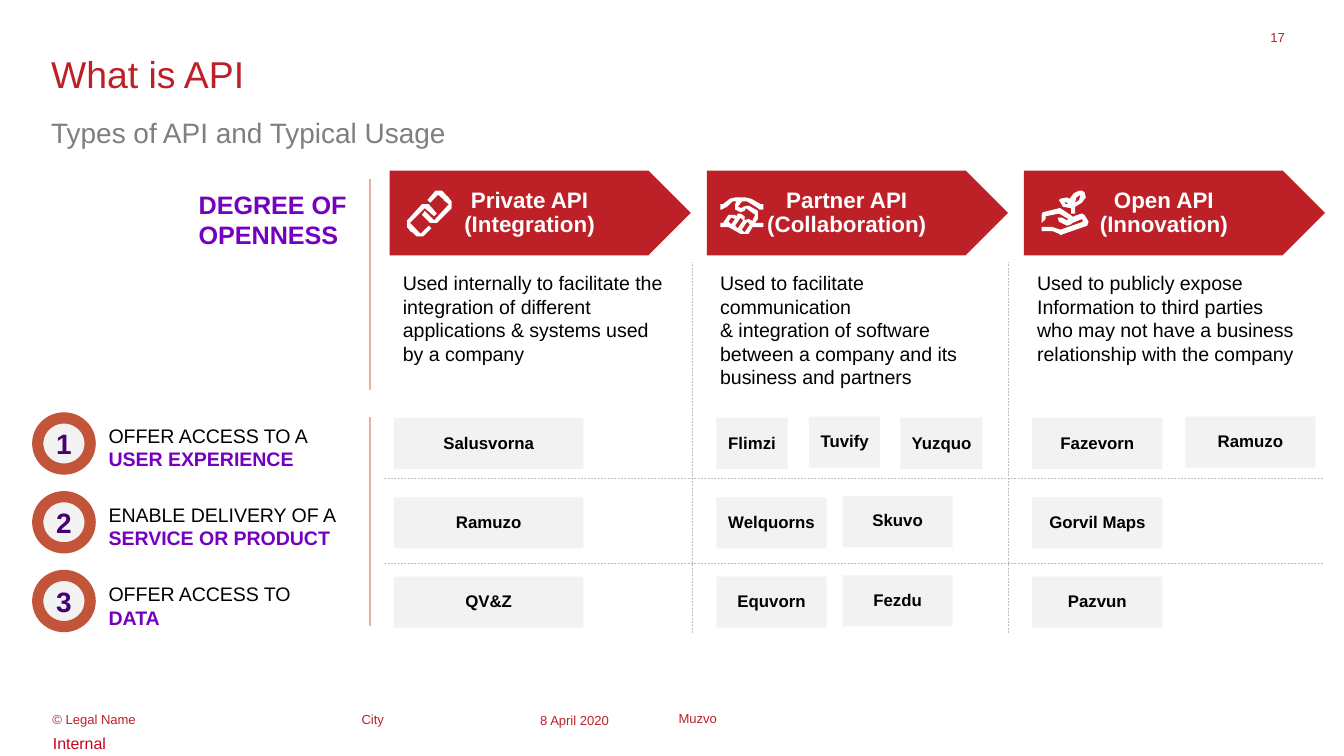
from lxml import etree
from pptx import Presentation
from pptx.dml.color import RGBColor
from pptx.enum import dml, shapes, text
from pptx.oxml.ns import qn
from pptx.util import Pt

COLORS = {"red": "BD2027", "label": "CA001F", "gray": "7F7F7F", "violet": "7500C0",
          "indigo": "460073", "rust": "C25439", "peach": "E9B09A", "grid": "BFBFBF",
          "pale": "F2F2F2", "white": "FFFFFF", "black": "000000"}

TITLE = {"size": 20, "color": "red"}
SUBTITLE = {"size": 15, "color": "gray"}
SMALL = {"size": 7, "color": "red"}
BODY = {"size": 10.5, "color": "black"}
STRONG = {"size": 10.5, "color": "violet", "bold": True}
DEGREE = {"size": 13.5, "color": "violet", "bold": True}
NUMBER = {"size": 15, "color": "indigo", "bold": True}
HEADING = {"size": 12, "color": "white", "bold": True}
EXAMPLE = {"size": 9, "color": "black", "bold": True}

# text, format, (left, top, width, height), extra text options
PAGE_TEXTS = [
    ("© Legal Name", SMALL, (27.4, 381.6, 155.5, 6.5), {"space": 0.96, "before": 0.1, "indent": 0.7}),
    ("City", SMALL, (193, 381.6, 88.6, 6.5), {"space": 0.96, "before": 0.1, "indent": 0.7}),
    ("Internal", {"size": 8.5, "color": "label"}, (0, 389.5, 720, 17.3), {"inset": (28.4, 3.6, 7.2, 3.6)}),
    ("17", SMALL, (672.5, 15.8, 15.8, 10.8), {"align": "RIGHT"}),
    ("8 April 2020", SMALL, (289.4, 381.6, 62.6, 6.5), {}),
    ("Muzvo", SMALL, (363.6, 381.6, 228.2, 6.5), {"anchor": "MIDDLE"}),
    ("What is API", TITLE, (27.4, 27.4, 660.2, 36.7), {}),
    ("Types of API and Typical Usage", SUBTITLE, (27.4, 61.9, 660.2, 23), {}),
]

# Icon outlines: each icon is a list of shapes, each shape a list of contours,
# on a grid of 0.72 pt measured from the corner of its arrow
CHAIN = [
    [[(23, 47), (15, 39), (26, 28), (33, 34), (35, 32), (29, 25), (24, 25), (13, 37), (13, 42),
      (20, 49), (25, 49), (31, 43), (29, 41)]],
    [[(36, 18), (44, 25), (33, 37), (26, 30), (24, 33), (30, 39), (35, 39), (46, 28), (46, 23),
      (39, 15), (34, 15), (28, 22), (30, 24)]],
    [[(43, 19), (46, 23), (44, 25), (40, 22)]],
    [[(16, 46), (13, 42), (15, 39), (19, 43)]],
]
HANDSHAKE = [
    [[(29, 27), (31, 26), (38, 30), (38, 36), (35, 40), (34, 37), (36, 33), (29, 28)]],
    [[(28, 46), (26, 44), (30, 38), (32, 40)],
     [(23, 43), (21, 41), (25, 35), (27, 37)],
     [(18, 40), (16, 38), (18, 35), (21, 36)],
     [(35, 39), (35, 38), (31, 36), (28, 37), (28, 34), (25, 32), (23, 32), (22, 34), (21, 33),
      (16, 33), (12, 39), (10, 39), (10, 42), (16, 42), (25, 47), (31, 47), (34, 42), (42, 42),
      (42, 39)]],
    [[(40, 25), (33, 21), (29, 20), (21, 20), (17, 21), (12, 25), (10, 25), (10, 29), (11, 29),
      (15, 27), (19, 23), (22, 23), (21, 25), (21, 29), (25, 31), (28, 30), (30, 26), (27, 27),
      (26, 28), (23, 27), (26, 23), (30, 23), (38, 28), (39, 29), (42, 29), (42, 25)]],
]
SEEDLING = [
    [[(41, 22), (38, 24), (39, 20), (42, 18)],
     [(31, 25), (30, 23), (32, 24), (33, 25)],
     [(45, 16), (43, 15), (41, 15), (37, 17), (34, 21), (32, 20), (27, 21), (26, 22), (29, 27),
      (35, 28), (35, 32), (38, 32), (38, 27), (43, 24), (46, 20)]],
    [[(45, 33), (43, 32), (37, 35), (36, 34), (27, 28), (26, 28), (14, 31), (13, 33), (13, 39),
      (16, 36), (16, 34), (26, 32), (33, 36), (32, 37), (28, 35), (25, 35), (26, 38), (32, 41),
      (35, 40), (36, 39), (43, 36), (44, 38), (27, 44), (21, 42), (13, 42), (13, 45), (21, 45),
      (26, 47), (27, 48), (47, 41), (48, 38)]],
    [[(43, 36), (36, 38), (37, 34), (43, 32)]],
]

# heading, icon, description, description width
API_TYPES = [
    (["Private API", "(Integration)"], CHAIN,
     ["Used internally to facilitate the", "integration of different",
      "applications & systems used by a company"], 156.2),
    (["Partner API", "(Collaboration)"], HANDSHAKE,
     ["Used to facilitate communication",
      "& integration of software between a company and its business and partners"], 162),
    (["Open API", "(Innovation)"], SEEDLING,
     ["Used to publicly expose",
      "Information to third parties who may not have a business relationship with the company"], 156.2),
]

# label paragraphs, label width, then examples as (name, left, width, rise)
USAGES = [
    ([[("OFFER ACCESS TO A", BODY)], [("USER EXPERIENCE", STRONG)]], 134.6,
     [("Salusvorna", 211, 101.5, 0), ("Flimzi", 383.8, 38.2, 0), ("Tuvify", 433.4, 38.2, 0.7),
      ("Yuzquo", 482.4, 43.9, 0), ("Fazevorn", 553, 69.8, 0), ("Ramuzo", 635, 69.8, 0.7)]),
    ([[("ENABLE DELIVERY OF A", BODY)], [("SERVICE OR PRODUCT", STRONG)]], 152.6,
     [("Ramuzo", 211, 101.5, 0), ("Welquorns", 383.8, 59, 0), ("Skuvo", 451.4, 59, 0.7),
      ("Gorvil Maps", 553, 69.8, 0)]),
    ([[("OFFER ACCESS TO ", BODY), ("DATA", STRONG)]], 130.3,
     [("QV&Z", 211, 101.5, 0), ("Equvorn", 383.8, 59, 0), ("Fezdu", 451.4, 59, 0.7),
      ("Pazvun", 553, 69.8, 0)]),
]

COLUMN_X, COLUMN_STEP = 208.8, 169.9
ARROW_Y, ARROW_W, ARROW_H = 91.4, 161.3, 45.4
ROW_Y, ROW_STEP, BOX_H = 223.9, 42.5, 27.4
FRAME = (7.2, 3.6, 7.2, 3.6)

# start x, start y, end x, end y, colour, width, dashed
LINES = [(198, 208.8, 198, 95.8, "peach", 1, False),
         (198, 335.5, 198, 223.2, "peach", 1, False)]
LINES += [(x, 339.1, x, 140.4, "grid", 0.25, True) for x in (370.8, 540)]
LINES += [(205.9, y, 708.5, y, "grid", 0.25, True) for y in (256.3, 301.7)]

prs = Presentation()
prs.slide_width, prs.slide_height = Pt(720), Pt(405)
slide = prs.slides.add_slide(prs.slide_layouts[6])


def rgb(name):
    return RGBColor.from_string(COLORS[name])


def plain(lines, fmt):
    return [[(line, fmt)] for line in lines]


def write(sp, paragraphs, inset=(0, 0, 0, 0), anchor="TOP", align="LEFT",
          space=None, before=0, indent=0):
    """Fill a shape with paragraphs, each a list of (text, format) runs."""
    tf = sp.text_frame
    tf.word_wrap = True
    tf.vertical_anchor = getattr(text.MSO_ANCHOR, anchor)
    for side, value in zip(("left", "top", "right", "bottom"), inset):
        setattr(tf, f"margin_{side}", Pt(value))
    for i, runs in enumerate(paragraphs):
        p = tf.add_paragraph() if i else tf.paragraphs[0]
        p.alignment = getattr(text.PP_ALIGN, align)
        p.line_spacing, p.space_before = space, Pt(before)
        if indent:
            p._p.get_or_add_pPr().set("marL", str(Pt(indent)))
        for words, fmt in runs:
            r = p.add_run()
            r.text = words
            r.font.color.rgb = rgb(fmt["color"])
            values = {"name": "Arial", "size": Pt(fmt["size"]), "bold": fmt.get("bold", False)}
            for key, value in values.items():
                setattr(r.font, key, value)


def add_text(box, paragraphs, **options):
    write(slide.shapes.add_textbox(*map(Pt, box)), paragraphs, **options)


def paint(sp, fill, line=None, width=0):
    sp.shadow.inherit = False
    sp.fill.solid()
    sp.fill.fore_color.rgb = rgb(fill)
    if line:
        sp.line.color.rgb, sp.line.width = rgb(line), Pt(width)
    else:
        sp.line.fill.background()


def add_shape(kind, box, fill, line=None, width=0):
    sp = slide.shapes.add_shape(getattr(shapes.MSO_SHAPE, kind), *map(Pt, box))
    paint(sp, fill, line, width)
    return sp


def add_block(kind, box, fill, lines, fmt):
    write(add_shape(kind, box, fill), plain(lines, fmt), inset=(2.9,) * 4,
          anchor="MIDDLE", align="CENTER", space=0.9)


def add_icon(icon, x, y):
    for contours in icon:
        fb = slide.shapes.build_freeform(*contours[0][0], scale=Pt(0.72))
        for contour in contours:
            fb.move_to(*contour[0])
            fb.add_line_segments(contour[1:], close=True)
        paint(fb.convert_to_shape(Pt(x), Pt(y)), "white")


def add_line(x1, y1, x2, y2, color, width, dashed):
    cn = slide.shapes.add_connector(shapes.MSO_CONNECTOR.STRAIGHT, *map(Pt, (x1, y1, x2, y2)))
    cn.line.color.rgb, cn.line.width = rgb(color), Pt(width)
    if dashed:
        cn.line.dash_style = dml.MSO_LINE.DASH
    etree.SubElement(cn._element.spPr, qn("a:effectLst"))


for words, fmt, box, options in PAGE_TEXTS:
    add_text(box, plain([words], fmt), **options)

for line in LINES:
    add_line(*line)

add_text((99.4, 97.9, 360, 40.3), plain(["DEGREE OF", "OPENNESS"], DEGREE), inset=FRAME)

for i, (heading, icon, description, width) in enumerate(API_TYPES):
    x = COLUMN_X + i * COLUMN_STEP
    add_block("PENTAGON", (x, ARROW_Y, ARROW_W, ARROW_H), "red", heading, HEADING)
    add_icon(icon, x, ARROW_Y)
    add_text((x, 141.8, width, 70), plain(description, BODY), inset=FRAME)

for i, (label, width, examples) in enumerate(USAGES):
    y = ROW_Y + i * ROW_STEP
    add_shape("FLOWCHART_CONNECTOR", (20.2, ROW_Y + i * 42.2, 28.1, BOX_H), "pale", "rust", 6)
    add_text((22, 230.8 + i * 42.1, 24.5, 16.6), plain([str(i + 1)], NUMBER),
             align="CENTER", space=0.9, before=2.2)
    add_text((51.1, y - 0.5, width, 32.4), label, inset=FRAME)
    for name, left, box_width, rise in examples:
        add_block("RECTANGLE", (left, y - rise, box_width, BOX_H), "pale", [name], EXAMPLE)

prs.save("out.pptx")
